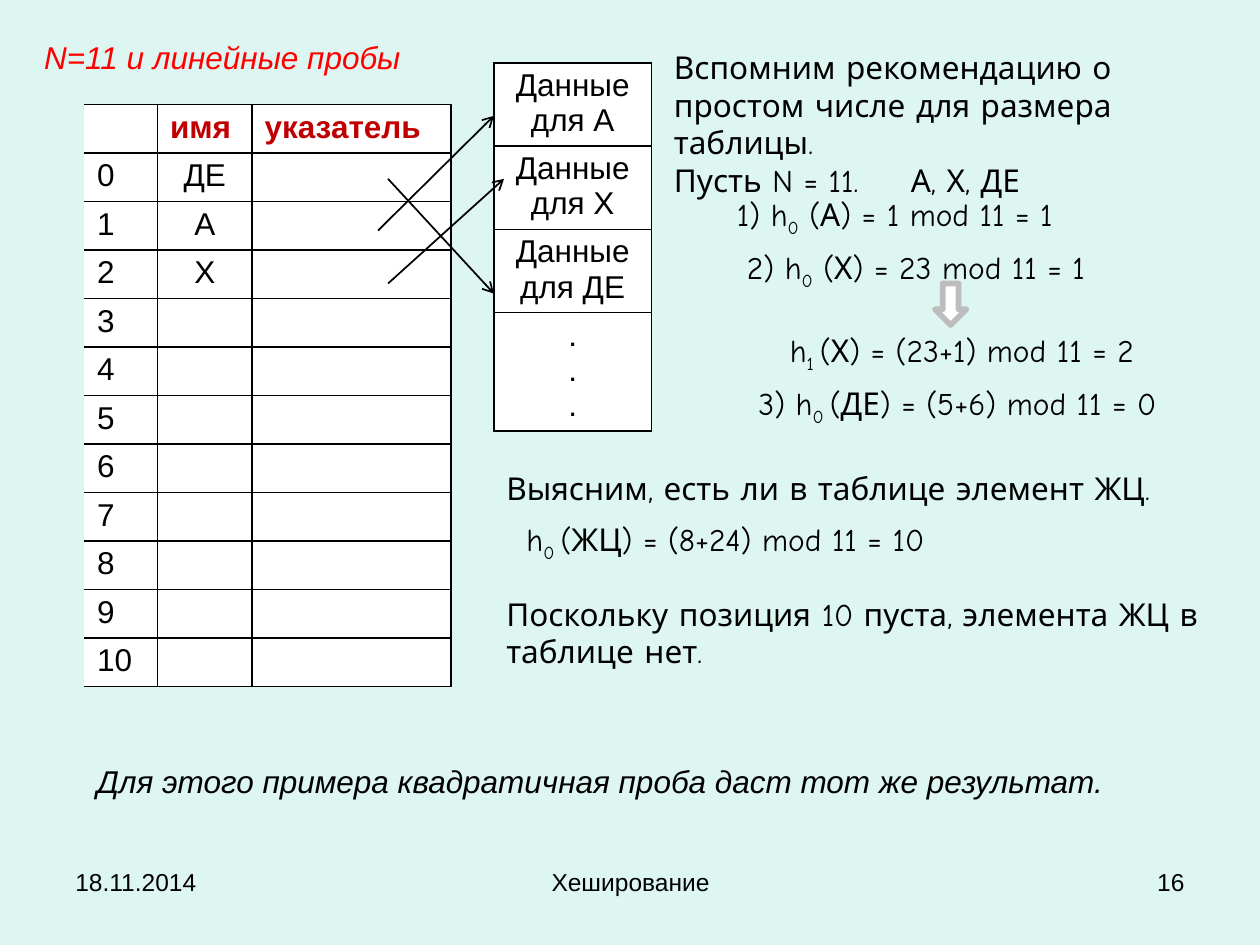
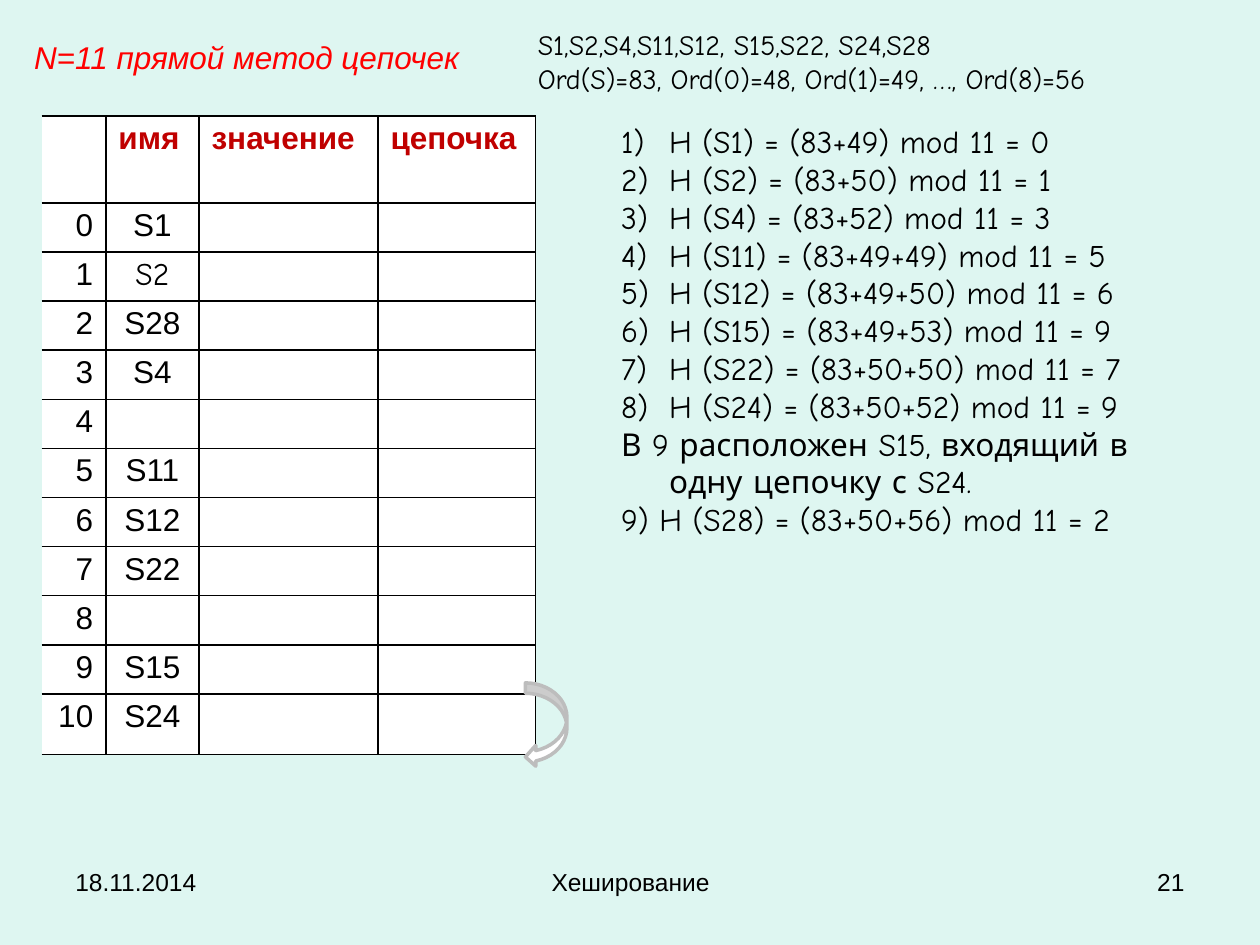
"""Build two slides on hashing: linear probing and direct chaining."""
from dataclasses import dataclass

from lxml import etree
from pptx import Presentation
from pptx.dml.color import RGBColor
from pptx.enum import shapes, text
from pptx.oxml import ns
from pptx.util import Inches, Pt

BACKGROUND, WHITE, BLACK = "DEF6F1", "FFFFFF", "000000"
TITLE_RED, HEADER_RED, ARROW_GREY = "FF0000", "C00000", "BDBDBD"
SANS, HAND = "Arial", "Comic Neue"
LEFT, CENTER, RIGHT, JUSTIFY = (
    text.PP_ALIGN.LEFT, text.PP_ALIGN.CENTER, text.PP_ALIGN.RIGHT, text.PP_ALIGN.JUSTIFY)
TITLE_ONLY, TITLE_AND_CONTENT = 5, 1
SIDES = {"L": "left", "R": "right", "T": "top", "B": "bottom"}


@dataclass(frozen=True)
class Style:
    """Look of a piece of text."""
    font: str = HAND
    size: float = 18
    color: str = BLACK
    bold: bool = False
    italic: bool = False
    align: int = LEFT


@dataclass(frozen=True)
class Label:
    """Text at a place; parts between bars are subscripts."""
    words: str
    box: tuple
    style: Style = Style()


@dataclass(frozen=True)
class Column:
    """Table column with its header, width and cell alignment."""
    header: str
    width: float
    align: int = CENTER


PLAIN = Style(SANS)
TITLE = Style(SANS, color=TITLE_RED, italic=True)
HEADER = Style(SANS, color=HEADER_RED, bold=True)


def rgb(color: str) -> RGBColor:
    """Turn a hex string into a colour."""
    return RGBColor.from_string(color)


def set_values(target, values: dict) -> None:
    """Set attributes from a dict of format values."""
    for name, value in values.items():
        setattr(target, name, value)


def add_element(parent, tag: str, **attributes):
    """Append a drawing element to a parent."""
    return etree.SubElement(parent, ns.qn(f"a:{tag}"), attributes)


def write(frame, words: str, style: Style) -> None:
    """Write one paragraph per line, with subscripts between bars."""
    for index, line in enumerate(words.split("\n")):
        paragraph = frame.add_paragraph() if index else frame.paragraphs[0]
        set_values(paragraph, {"alignment": style.align, "space_before": Pt(0)})
        if not line:
            add_element(paragraph._p, "endParaRPr", sz=str(int(style.size * 100)))
            continue
        for part_index, part in enumerate(line.split("|")):
            run = paragraph.add_run()
            run.text = part
            set_values(run.font, {"name": style.font, "size": Pt(style.size),
                                  "bold": style.bold, "italic": style.italic})
            run.font.color.rgb = rgb(style.color)
            if part_index % 2:
                run._r.get_or_add_rPr().set("baseline", "-25000")


def fill_text_shape(shape, label: Label) -> None:
    """Place a text shape and write its label."""
    set_values(shape, dict(zip(("left", "top", "width", "height"), map(Inches, label.box))))
    set_values(shape.text_frame, {"word_wrap": True, "auto_size": text.MSO_AUTO_SIZE.NONE,
                                  "vertical_anchor": text.MSO_ANCHOR.TOP})
    write(shape.text_frame, label.words, label.style)


def add_label(slide, label: Label):
    """Add a text box."""
    shape = slide.shapes.add_textbox(*map(Inches, label.box))
    fill_text_shape(shape, label)
    return shape


def new_slide(presentation, layout: int, title: Label, number: int):
    """Add a slide with its title and the shared footer."""
    slide = presentation.slides.add_slide(presentation.slide_layouts[layout])
    fill_text_shape(slide.shapes.title, title)
    footer = (("18.11.2014", 0.5, 2.33, LEFT), ("Хеширование", 3.42, 3.17, CENTER),
              (str(number), 7.17, 2.33, RIGHT))
    for words, left, width, align in footer:
        add_label(slide, Label(words, (left, 6.83, width, 0.52), Style(SANS, 14, align=align)))
    return slide


def format_cell(cell, words: str, style: Style, open_left: bool) -> None:
    """Fill a cell, write its text and draw its borders."""
    set_values(cell, {"margin_top": Inches(0.04), "margin_bottom": Inches(0.04)})
    write(cell.text_frame, words, style)
    properties = cell._tc.get_or_add_tcPr()
    for side in SIDES:
        line = add_element(properties, f"ln{side}", w=str(Pt(1)))
        if side == "L" and open_left:
            add_element(line, "noFill")
        else:
            add_element(add_element(line, "solidFill"), "srgbClr", val=BLACK)
    cell.fill.solid()
    cell.fill.fore_color.rgb = rgb(WHITE)


def add_grid(slide, left: float, top: float, widths: list, heights: list,
             rows: list, open_left: bool = False) -> None:
    """Add a table from rows of (words, style) pairs."""
    table = slide.shapes.add_table(
        len(rows), len(widths), Inches(left), Inches(top),
        Inches(sum(widths)), Inches(sum(heights))).table
    set_values(table, {"first_row": False, "horz_banding": False})
    for column, width in zip(table.columns, widths):
        column.width = Inches(width)
    for row, height, values in zip(table.rows, heights, rows):
        row.height = Inches(height)
        for index, (words, style) in enumerate(values):
            format_cell(row.cells[index], words, style, open_left and index == 0)


def add_hash_table(slide, left: float, top: float, columns: list, heights: list,
                   names: dict, hand_rows: tuple = ()) -> None:
    """Add a hash table with numbered positions and the names stored in them."""
    rows = [[(column.header, HEADER) for column in columns]]
    for position in range(11):
        values = [str(position), names.get(position, "")] + [""] * (len(columns) - 2)
        rows.append([
            (words, Style(HAND if index == 1 and position in hand_rows else SANS,
                          align=column.align))
            for index, (words, column) in enumerate(zip(values, columns))])
    add_grid(slide, left, top, [column.width for column in columns], heights, rows, True)


def add_pointer(slide, start: tuple, end: tuple) -> None:
    """Add a thin line with an open arrowhead."""
    line = slide.shapes.add_connector(
        shapes.MSO_CONNECTOR.STRAIGHT, *map(Inches, start + end))
    line.line.width = Pt(1)
    line.line.color.rgb = rgb(BLACK)
    add_element(line.line._get_or_add_ln(), "tailEnd", type="arrow")
    add_element(line._element.spPr, "effectLst")


def add_block_arrow(slide, kind, box: tuple, line_width: float) -> None:
    """Add a white block arrow with a grey outline."""
    arrow = slide.shapes.add_shape(kind, *map(Inches, box))
    arrow.shadow.inherit = False
    arrow.fill.solid()
    arrow.fill.fore_color.rgb = rgb(WHITE)
    arrow.line.color.rgb = rgb(ARROW_GREY)
    arrow.line.width = Pt(line_width)


def number_list(frame, numbered: int) -> None:
    """Give all paragraphs a hanging indent and number the first ones."""
    for index, paragraph in enumerate(frame.paragraphs):
        properties = paragraph._p.get_or_add_pPr()
        properties.set("marL", str(Inches(0.38)))
        properties.set("indent", str(-Inches(0.38)))
        if index < numbered:
            add_element(properties, "buFont", typeface=HAND)
            add_element(properties, "buAutoNum", type="arabicParenR")
        else:
            add_element(properties, "buNone")


def build_probing(presentation) -> None:
    """Build the slide on linear probing."""
    slide = new_slide(presentation, TITLE_ONLY,
                      Label("N=11 и линейные пробы", (0.25, 0.25, 3.42, 0.4), TITLE), 16)
    columns = [Column("", 0.58, LEFT), Column("имя", 0.75), Column("указатель", 1.58)]
    add_hash_table(slide, 0.67, 0.83, columns, [0.38] * 12, {0: "ДЕ", 1: "А", 2: "Х"})
    centred = Style(SANS, align=CENTER)
    records = [f"Данные для {name}" for name in ("А", "Х", "ДЕ")] + [".\n.\n."]
    add_grid(slide, 3.92, 0.5, [1.25], [0.66] * 3 + [0.94],
             [[(words, centred)] for words in records])

    for start, end in (((3, 1.83), (3.92, 0.92)), ((3.08, 2.25), (4, 1.42)),
                       ((3.08, 1.42), (3.92, 2.33))):
        add_pointer(slide, start, end)
    add_block_arrow(slide, shapes.MSO_SHAPE.DOWN_ARROW, (7.42, 2.25, 0.25, 0.33), 3.25)

    for label in (
        Label("1) h|0| (А) = 1 mod 11 = 1", (5.75, 1.5, 3.08, 0.4)),
        Label("2) h|0| (Х) = 23 mod 11 = 1", (5.83, 1.92, 3.17, 0.4)),
        Label("h|1 |(Х) = (23+1) mod 11 = 2", (6.17, 2.58, 3.66, 0.4)),
        Label("3) h|0 |(ДЕ) = (5+6) mod 11 = 0", (5.92, 3, 3.58, 0.4)),
        Label("Выясним, есть ли в таблице элемент ЖЦ.", (3.92, 3.67, 5.33, 0.4)),
        Label("h|0 |(ЖЦ) = (8+24) mod 11 = 10", (4.08, 4.08, 3.58, 0.4)),
        Label("Поскольку позиция 10 пуста, элемента ЖЦ в таблице нет.",
              (3.92, 4.67, 5.75, 0.71)),
        Label("Для этого примера квадратичная проба даст тот же результат.",
              (0.67, 6, 8.33, 0.4), Style(SANS, italic=True)),
    ):
        add_label(slide, label)

    advice = add_label(slide, Label(
        "Вспомним рекомендацию о простом числе для размера таблицы.\n"
        "Пусть N = 11.\tА, Х, ДЕ", (5.25, 0.33, 4.75, 1.01)))
    properties = advice.text_frame.paragraphs[-1]._p.get_or_add_pPr()
    add_element(add_element(properties, "tabLst"), "tab", pos=str(Inches(1.88)), algn="l")


def build_chaining(presentation) -> None:
    """Build the slide on direct chaining."""
    slide = new_slide(presentation, TITLE_AND_CONTENT,
                      Label("N=11 прямой метод цепочек", (0.17, 0.25, 3.6, 0.4), TITLE), 21)
    columns = [Column("", 0.51, RIGHT), Column("имя", 0.74),
               Column("значение", 1.42), Column("цепочка", 1.25)]
    names = {0: "S1", 1: "S2", 2: "S28", 3: "S4", 5: "S11", 6: "S12",
             7: "S22", 9: "S15", 10: "S24"}
    add_hash_table(slide, 0.33, 0.92, columns, [0.69] + [0.39] * 10 + [0.48], names, (1,))

    steps = [("S1", "49", 0), ("S2", "50", 1), ("S4", "52", 3), ("S11", "49+49", 5),
             ("S12", "49+50", 6), ("S15", "49+53", 9), ("S22", "50+50", 7),
             ("S24", "50+52", 9)]
    lines = [f"H ({name}) = (83+{codes}) mod 11 = {result}" for name, codes, result in steps]
    lines += ["В 9 расположен S15, входящий в одну цепочку с S24.",
              "9) H (S28) = (83+50+56) mod 11 = 2"]
    body = slide.placeholders[1]
    fill_text_shape(body, Label("\n".join(lines), (4.83, 0.92, 4.5, 3.74)))
    number_list(body.text_frame, len(steps))

    add_label(slide, Label("S1,S2,S4,S11,S12, S15,S22, S24,S28\n"
                           "Ord(S)=83, Ord(0)=48, Ord(1)=49, …, Ord(8)=56",
                           (4.17, 0.17, 5.67, 0.64), Style(size=16, align=JUSTIFY)))
    add_block_arrow(slide, shapes.MSO_SHAPE.CURVED_LEFT_ARROW, (4.17, 5.42, 0.33, 0.67), 2)


def main() -> None:
    """Build and save the presentation."""
    presentation = Presentation()
    set_values(presentation, {"slide_width": Inches(10), "slide_height": Inches(7.5)})
    background = presentation.slide_master.background.fill
    background.solid()
    background.fore_color.rgb = rgb(BACKGROUND)
    build_probing(presentation)
    build_chaining(presentation)
    presentation.save("out.pptx")


main()
